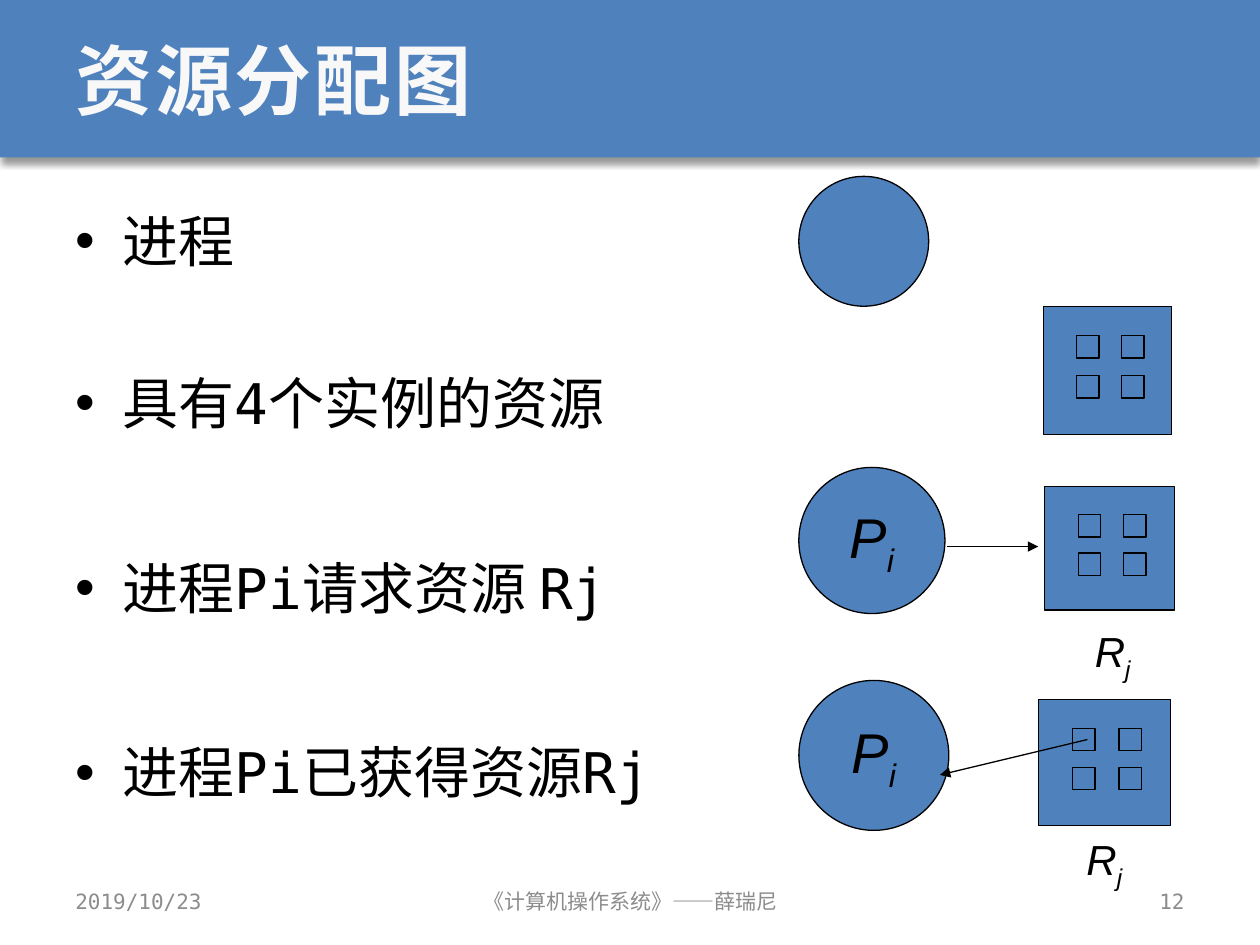
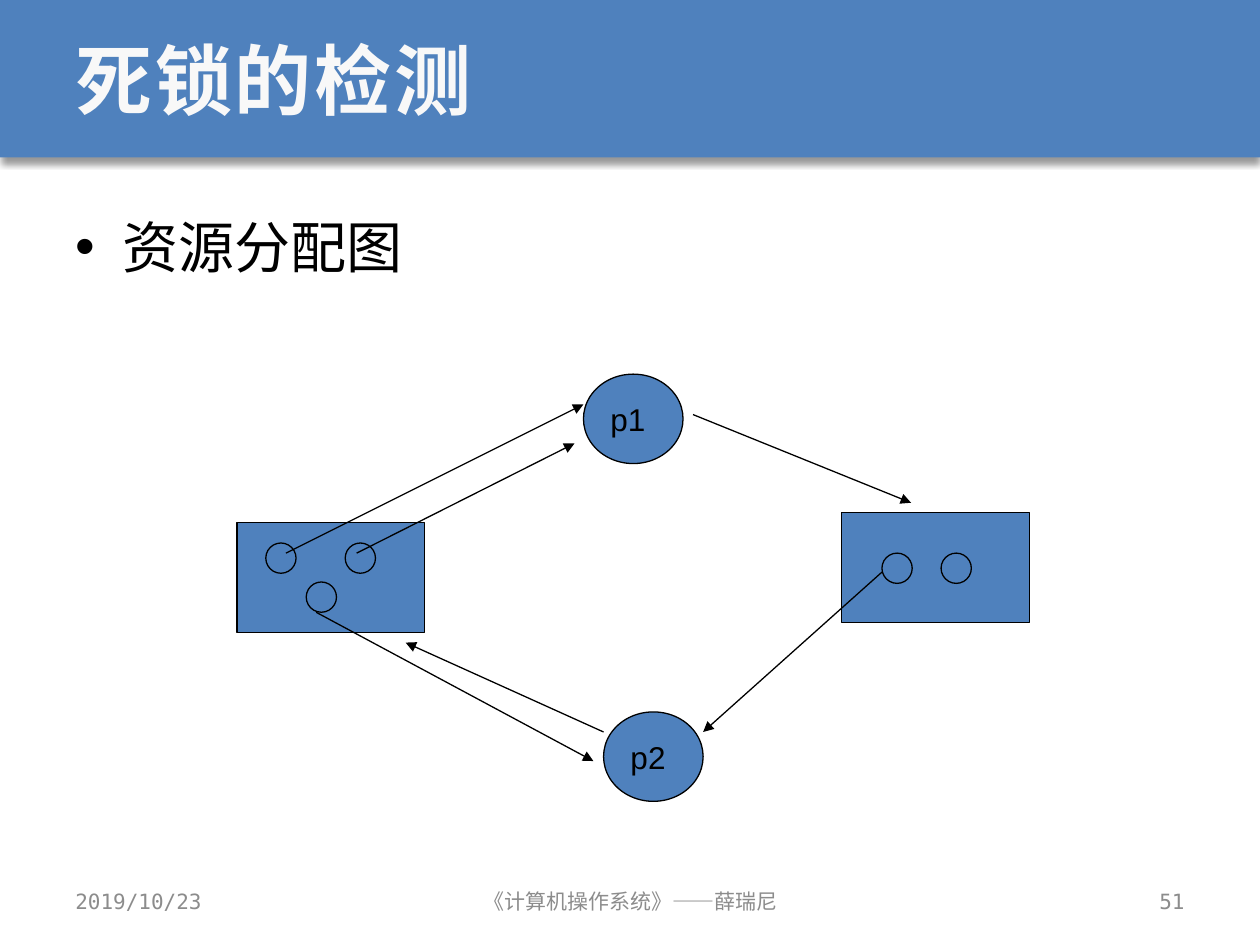
from lxml import etree
from pptx import Presentation
from pptx.dml.color import RGBColor
from pptx.enum.shapes import MSO_CONNECTOR, MSO_SHAPE
from pptx.enum.text import MSO_ANCHOR, PP_ALIGN
from pptx.oxml.ns import qn
from pptx.util import Pt

RECT, OVAL = MSO_SHAPE.RECTANGLE, MSO_SHAPE.OVAL
STRAIGHT = MSO_CONNECTOR.STRAIGHT
TOP, MIDDLE = MSO_ANCHOR.TOP, MSO_ANCHOR.MIDDLE
LEFT, CENTER, RIGHT = PP_ALIGN.LEFT, PP_ALIGN.CENTER, PP_ALIGN.RIGHT

COLORS = {"blue": "4F81BD", "black": "000000", "title": "F8F8F8", "footer": "8C8C8C"}
MONO, SANS = "DejaVu Sans Mono", "Arial"

TITLE = {"name": MONO, "size": Pt(44), "bold": True, "color": "title"}
BODY = {"name": MONO, "size": Pt(32), "color": "black"}
FOOTER = {"name": MONO, "size": Pt(12), "color": "footer"}
PROCESS = {"name": SANS, "size": Pt(32), "italic": True, "color": "black"}
RESOURCE = {**PROCESS, "size": Pt(24)}
NODE = {"name": SANS, "size": Pt(18), "color": "black"}

INSTANCE_SIDE, INSTANCE_DIAMETER = 12.8, 17.3
NODE_SIZE = (56.9, 51.1)
BLOCK_SIZE = (107.3, 62.6)


def rgb(color):
    return RGBColor.from_string(COLORS[color])


def points(*lengths):
    return [Pt(length) for length in lengths]


def sub(parent, tag, **attributes):
    return etree.SubElement(parent, qn(tag), attributes)


def write(paragraph, text, style, subscript="", spacing=None):
    """Add the text, then an optional subscript, in one style."""
    for part, baseline in ((text, None), (subscript, "-25000")):
        if not part:
            continue
        run = paragraph.add_run()
        run.text = part
        for attribute, value in style.items():
            if attribute == "color":
                run.font.color.rgb = rgb(value)
            else:
                setattr(run.font, attribute, value)
        properties = run._r.get_or_add_rPr()
        if baseline:
            properties.set("baseline", baseline)
        if spacing:
            properties.set("spc", spacing)


def set_frame(frame, anchor=MIDDLE, wrap=True):
    frame.word_wrap = wrap
    frame.vertical_anchor = anchor


def add_text(slide, box, text, style, align=LEFT, subscript="", wrap=True):
    frame = slide.shapes.add_textbox(*points(*box)).text_frame
    set_frame(frame, wrap=wrap)
    frame.paragraphs[0].alignment = align
    write(frame.paragraphs[0], text, style, subscript)


def add_figure(slide, kind, box, text="", style=NODE, subscript="", align=LEFT):
    figure = slide.shapes.add_shape(kind, *points(*box))
    figure.shadow.inherit = False
    figure.fill.solid()
    figure.fill.fore_color.rgb = rgb("blue")
    figure.line.color.rgb = rgb("black")
    figure.line.width = Pt(0.75)
    if text:
        set_frame(figure.text_frame, wrap=False)
        paragraph = figure.text_frame.paragraphs[0]
        paragraph.alignment = align
        write(paragraph, text, style, subscript)
    return figure


def add_arrow(slide, start, end):
    arrow = slide.shapes.add_connector(STRAIGHT, *points(*start, *end))
    arrow.line.color.rgb = rgb("black")
    arrow.line.width = Pt(0.75)
    sub(arrow.line._get_or_add_ln(), "a:tailEnd", type="triangle")
    sub(arrow.element.spPr, "a:effectLst")


def add_resource(slide, left, top, width, height):
    """Resource block with a two by two grid of instances."""
    add_figure(slide, RECT, (left, top, width, height))
    for row in range(2):
        for column in range(2):
            x = left + width * (0.26 + 0.35 * column)
            y = top + height * (0.23 + 0.31 * row)
            add_figure(slide, RECT, (x, y, INSTANCE_SIDE, INSTANCE_SIDE))


def add_block(slide, corner, instances):
    """Resource block with round instances at the given places."""
    add_figure(slide, RECT, (*corner, *BLOCK_SIZE))
    for place in instances:
        add_figure(slide, OVAL, (*place, INSTANCE_DIAMETER, INSTANCE_DIAMETER))


def add_bullets(slide, items, line_spacing):
    """items holds pairs of text and the space before it."""
    frame = slide.shapes.add_textbox(*points(36, 106.6, 648, 383.8)).text_frame
    set_frame(frame, TOP)
    for index, (text, space) in enumerate(items):
        paragraph = frame.add_paragraph() if index else frame.paragraphs[0]
        paragraph.line_spacing = line_spacing
        paragraph.space_before = Pt(space)
        properties = paragraph._p.get_or_add_pPr()
        properties.set("marL", str(Pt(27)))
        properties.set("indent", str(Pt(-27)))
        sub(properties, "a:buFont", typeface=SANS)
        sub(properties, "a:buChar", char="•")
        write(paragraph, text, BODY)


def add_band(slide, layout):
    """Draw the title band and hand it to the shared layout."""
    band = slide.shapes.add_shape(RECT, *points(0, 0, 720, 90))
    band.fill.solid()
    band.fill.fore_color.rgb = rgb("blue")
    band.line.fill.background()
    effects = sub(band.element.spPr, "a:effectLst")
    shadow = sub(effects, "a:outerShdw", blurRad=str(Pt(4)), dist=str(Pt(3)),
                 dir="5400000", algn="t", rotWithShape="0")
    shade = sub(shadow, "a:srgbClr", val=COLORS["black"])
    sub(shade, "a:alpha", val="40000")
    layout.shapes.element.insert(2, band.element)


def add_titled_slide(deck, layout, title_text, number):
    slide = deck.slides.add_slide(layout)
    title = slide.shapes.title
    title.left, title.top, title.width, title.height = points(36, 0, 648, 90)
    set_frame(title.text_frame)
    heading = title.text_frame.paragraphs[0]
    heading.alignment = LEFT
    write(heading, title_text, TITLE, spacing="150")

    # Footer: date, course, slide number
    for left, width, text, align in (
        (36, 167.8, "2019/10/23", LEFT),
        (246.2, 228.2, "《计算机操作系统》——薛瑞尼", CENTER),
        (516.2, 167.8, number, RIGHT),
    ):
        add_text(slide, (left, 500.4, width, 28.8), text, FOOTER, align)
    return slide


def draw_notation(slide):
    add_bullets(slide, (
        ("进程", 0),
        ("具有4个实例的资源", 46.4),
        ("进程Pi请求资源 Rj", 59.6),
        ("进程Pi已获得资源Rj", 59.6),
    ), 1.2)

    # Process and resource on their own
    add_figure(slide, OVAL, (456.5, 100.8, 74.2, 74.2))
    add_resource(slide, 596.2, 175, 73.4, 73.4)

    # Request, then assignment
    for top, diameter, resource, start, end, label in (
        (267.1, 83.5, (596.9, 277.9, 74.2, 70.6),
         (541.4, 312.3), (593.3, 312.3), (617.8, 355.7, 36, 36.7)),
        (388.8, 85.7, (593.3, 399.6, 75.6, 72),
         (621.4, 422.6), (537.1, 442.8), (613.4, 474.5, 35.3, 36.7)),
    ):
        add_figure(slide, OVAL, (456.5, top, diameter, diameter),
                   "P", PROCESS, "i", CENTER)
        add_resource(slide, *resource)
        add_arrow(slide, start, end)
        add_text(slide, label, "R", RESOURCE, CENTER, "j", wrap=False)


def draw_detection(slide):
    add_bullets(slide, (("资源分配图", 0),), 1.3)

    # Processes
    add_figure(slide, OVAL, (333.4, 213.8, *NODE_SIZE), "p1")
    add_figure(slide, OVAL, (344.9, 406.8, *NODE_SIZE), "p2")

    # Resources
    add_block(slide, (135.4, 298.8),
              ((151.9, 310.3), (175, 332.6), (197.3, 310.3)))
    add_block(slide, (481, 293), ((504, 316.1), (537.8, 316.1)))

    # Assignments and requests
    for start, end in (
        ((163.4, 316.1), (333.4, 231.1)),
        ((203.8, 316.1), (328.3, 253.4)),
        ((344.9, 418.3), (231.8, 367.2)),
        ((180.7, 349.9), (339.1, 434.9)),
        ((396, 236.9), (520.6, 287.3)),
        ((504, 326.9), (401.8, 418.3)),
    ):
        add_arrow(slide, start, end)


def main():
    deck = Presentation()
    deck.slide_width, deck.slide_height = points(720, 540)
    title_only = deck.slide_layouts[5]

    notation = add_titled_slide(deck, title_only, "资源分配图", "12")
    add_band(notation, title_only)
    draw_notation(notation)

    detection = add_titled_slide(deck, title_only, "死锁的检测", "51")
    draw_detection(detection)

    deck.save("out.pptx")


if __name__ == "__main__":
    main()
